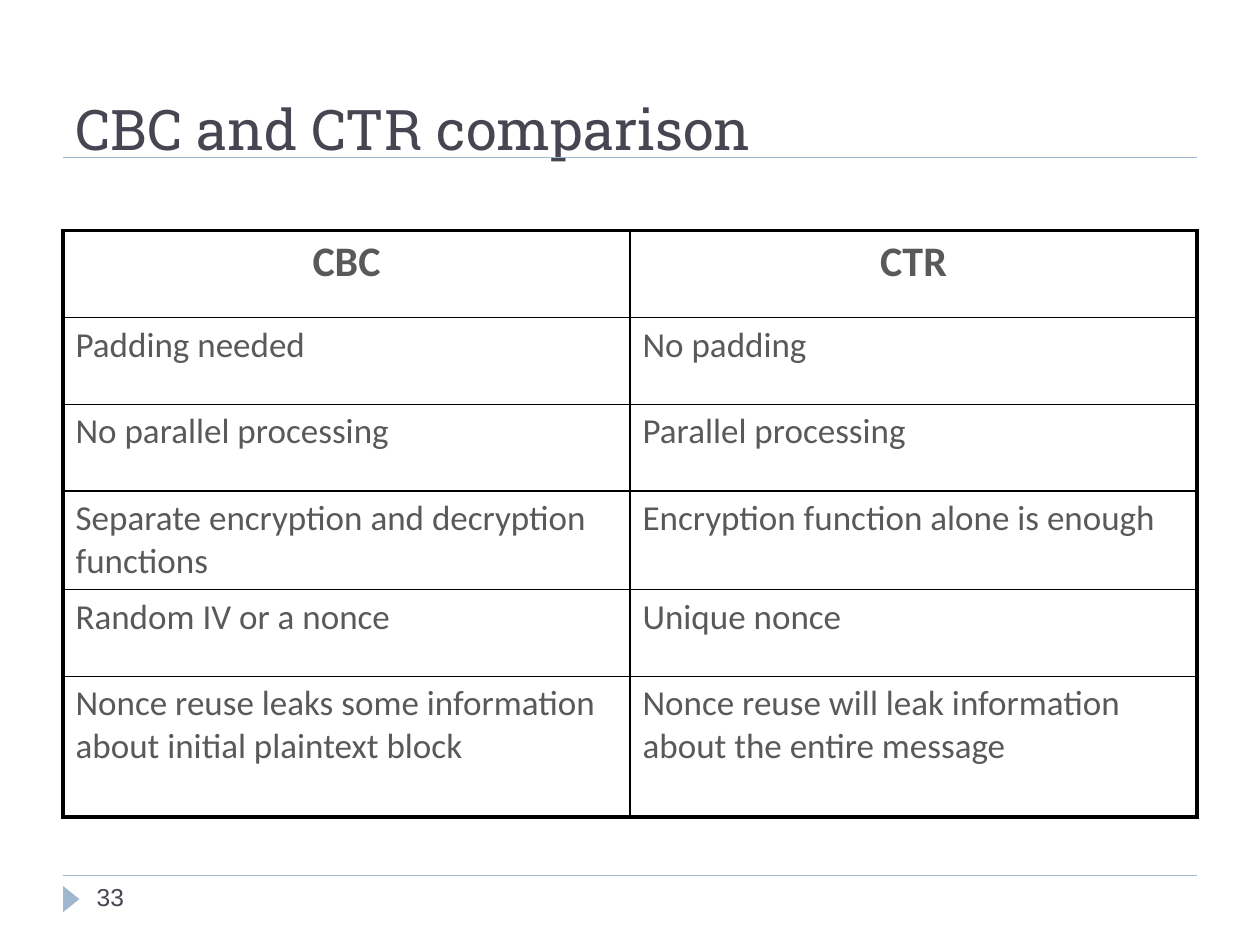
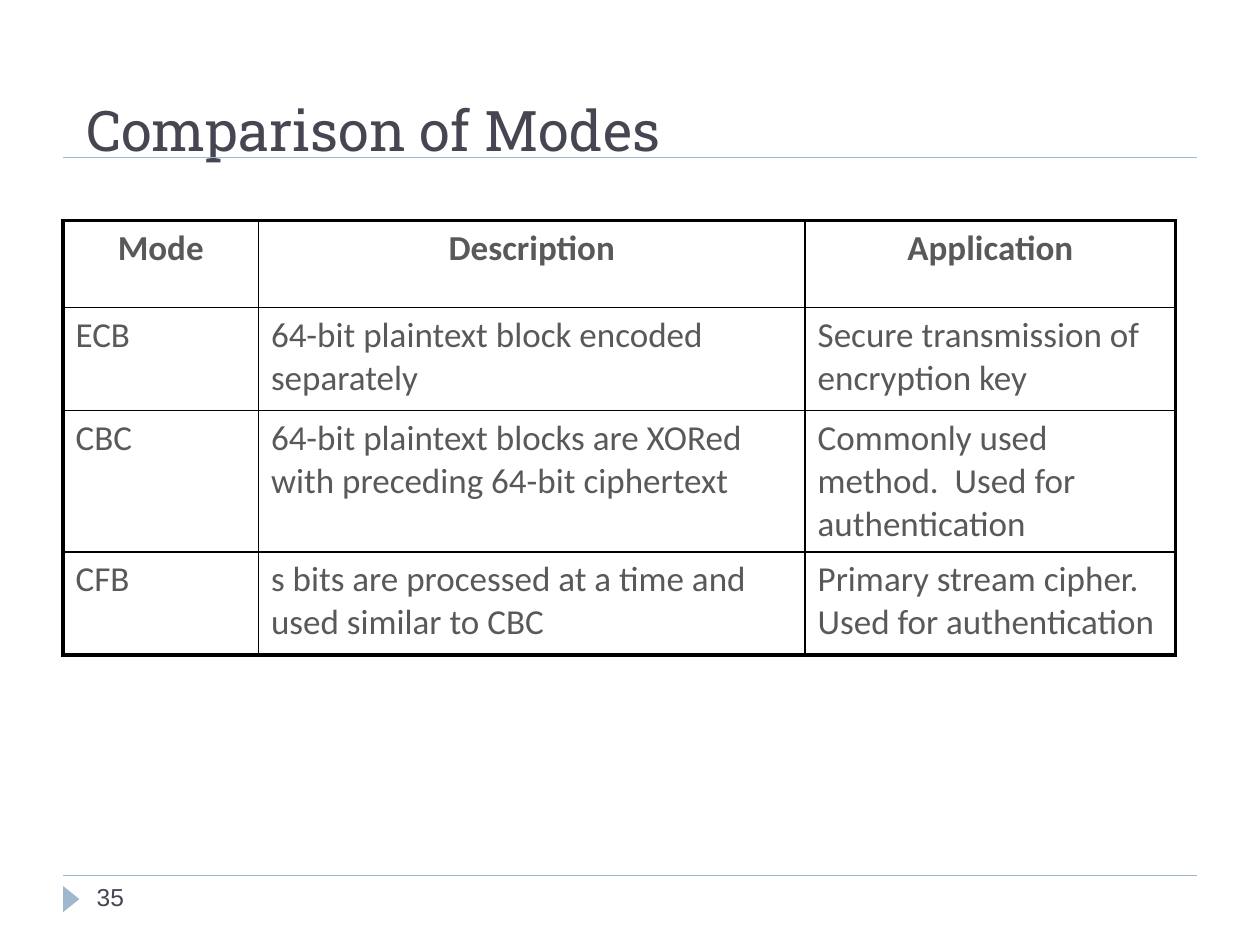
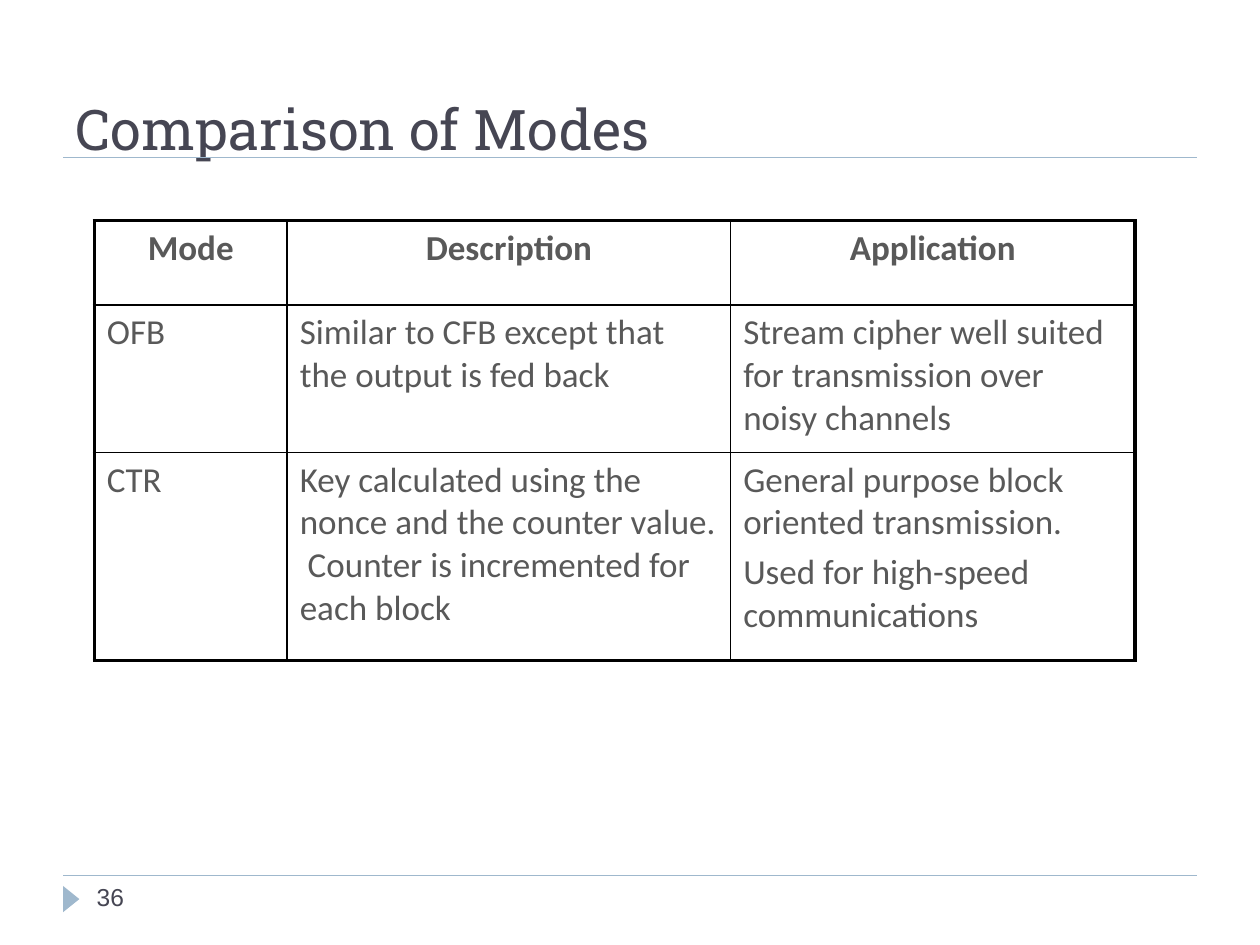
from pptx import Presentation
from pptx.dml.color import RGBColor
from pptx.enum.shapes import MSO_CONNECTOR, MSO_SHAPE
from pptx.enum.text import MSO_ANCHOR, MSO_AUTO_SIZE, PP_ALIGN
from pptx.oxml.ns import qn
from pptx.util import Cm, Pt
from lxml.etree import SubElement

COLORS = {"title": "464653", "body": "595959", "accent": "9FB8CD", "border": "000000"}
TITLE_ONLY = 5
MARGIN, CONTENT_WIDTH = 1.27, 22.86
TITLE_RULE_TOP, FOOTER_TOP = 3.18, 17.65
OUTER_BORDER, INNER_BORDER = 2.25, 1

MODE_HEADER = ["Mode", "Description", "Application"]
SLIDES = [
    {
        "title": "CBC and CTR comparison", "title_box": (MARGIN, 0.76, CONTENT_WIDTH, 2.62),
        "number": 33, "header_size": 24, "table_at": (MARGIN, 4.65),
        "widths": [11.43, 11.43], "heights": [1.75, 1.75, 1.75, 1.98, 1.75, 2.84],
        "rows": [
            ["CBC", "CTR"],
            ["Padding needed", "No padding"],
            ["No parallel processing", "Parallel processing"],
            ["Separate encryption and decryption functions",
             "Encryption function alone is enough"],
            ["Random IV or a nonce", "Unique nonce"],
            ["Nonce reuse leaks some information about initial plaintext block",
             "Nonce reuse will leak information about the entire message"],
        ],
    },
    {
        "title": "Comparison of Modes", "title_box": (1.48, 1.07, CONTENT_WIDTH, 2.34),
        "number": 35, "header_size": 20, "table_at": (MARGIN, 4.45),
        "widths": [3.94, 11.02, 7.47], "heights": [1.75, 2.08, 2.79, 2.08],
        "rows": [
            MODE_HEADER,
            ["ECB", "64-bit plaintext block encoded separately",
             "Secure transmission of encryption key"],
            ["CBC", "64-bit plaintext blocks are XORed with preceding 64-bit ciphertext",
             "Commonly used method.  Used for authentication"],
            ["CFB", "s bits are processed at a time and used similar to CBC",
             "Primary stream cipher. Used for authentication"],
        ],
    },
    {
        "title": "Comparison of Modes", "title_box": (MARGIN, 0.76, CONTENT_WIDTH, 2.62),
        "number": 36, "header_size": 20, "table_at": (1.9, 4.45),
        "widths": [3.89, 8.94, 8.15], "heights": [1.7, 2.97, 4.19],
        "rows": [
            MODE_HEADER,
            ["OFB", "Similar to CFB except that the output is fed back",
             "Stream cipher well suited for transmission over noisy channels"],
            ["CTR", "Key calculated using the nonce and the counter value.  "
                    "Counter is incremented for each block",
             "General purpose block oriented transmission.\nUsed for high-speed communications"],
        ],
    },
]


def rgb(name):
    return RGBColor.from_string(COLORS[name])


def set_font(paragraph, name, size, color, bold=False):
    font = paragraph.font
    font.name, font.size, font.bold = name, Pt(size), bold
    font.color.rgb = rgb(color)


def add_rule(slide, left, top, width):
    rule = slide.shapes.add_connector(
        MSO_CONNECTOR.STRAIGHT, Cm(left), Cm(top), Cm(left + width), Cm(top))
    rule.line.color.rgb = rgb("accent")
    rule.line.width = Pt(0.75)
    SubElement(rule.element.spPr, qn("a:effectLst"))


def add_title(slide, text, box):
    title = slide.shapes.title
    title.left, title.top, title.width, title.height = map(Cm, box)
    frame = title.text_frame
    frame.text = text
    frame.auto_size = MSO_AUTO_SIZE.NONE
    frame.vertical_anchor = MSO_ANCHOR.BOTTOM
    paragraph = frame.paragraphs[0]
    paragraph.alignment = PP_ALIGN.LEFT
    set_font(paragraph, "Roboto Slab", 32, "title")
    add_rule(slide, MARGIN, TITLE_RULE_TOP, CONTENT_WIDTH)


def add_footer(slide, number, left, top):
    add_rule(slide, left, top, CONTENT_WIDTH)
    marker = slide.shapes.add_shape(
        MSO_SHAPE.ISOSCELES_TRIANGLE, Cm(left - 0.1), Cm(top + 0.31), Cm(0.53), Cm(0.33))
    marker.rotation = 90
    marker.shadow.inherit = False
    marker.fill.solid()
    marker.fill.fore_color.rgb = rgb("accent")
    marker.line.fill.background()

    number_box = slide.shapes.add_textbox(Cm(left + 0.43), Cm(top), Cm(5.51), Cm(1.02))
    number_box.text_frame.word_wrap = True
    number_box.text_frame.text = str(number)
    set_font(number_box.text_frame.paragraphs[0], "Arial", 14, "title")


def set_borders(cell, outer_sides):
    """Draw the four edges, heavier where the cell meets the table's outline."""
    properties = cell._tc.get_or_add_tcPr()
    for side, is_outer in zip("LRTB", outer_sides):
        width = Pt(OUTER_BORDER if is_outer else INNER_BORDER)
        line = SubElement(properties, qn(f"a:ln{side}"), w=str(width))
        fill = SubElement(line, qn("a:solidFill"))
        SubElement(fill, qn("a:srgbClr"), val=COLORS["border"])


def fill_cell(cell, text, size, is_header):
    cell.fill.background()
    cell.text_frame.text = text
    for index, paragraph in enumerate(cell.text_frame.paragraphs):
        paragraph.alignment = PP_ALIGN.CENTER if is_header else PP_ALIGN.LEFT
        if index:
            paragraph.space_before = Pt(4)
        set_font(paragraph, "Calibri", size, "body", bold=is_header)


def add_comparison_table(slide, position, widths, heights, rows, header_size):
    box = (*position, sum(widths), sum(heights))
    table = slide.shapes.add_table(len(rows), len(widths), *map(Cm, box)).table
    table.first_row = table.horz_banding = False
    for column, width in zip(table.columns, widths):
        column.width = Cm(width)
    last_row, last_column = len(rows) - 1, len(widths) - 1
    for r, (texts, height) in enumerate(zip(rows, heights)):
        table.rows[r].height = Cm(height)
        for c, text in enumerate(texts):
            cell = table.cell(r, c)
            set_borders(cell, (c == 0, c == last_column, r == 0, r == last_row))
            fill_cell(cell, text, header_size if r == 0 else 20, is_header=r == 0)


def add_comparison_slide(presentation, content):
    slide = presentation.slides.add_slide(presentation.slide_layouts[TITLE_ONLY])
    add_title(slide, content["title"], content["title_box"])
    add_comparison_table(slide, content["table_at"], content["widths"], content["heights"],
                         content["rows"], content["header_size"])
    add_footer(slide, content["number"], MARGIN, FOOTER_TOP)


def main():
    presentation = Presentation()
    presentation.slide_width, presentation.slide_height = Cm(25.4), Cm(19.05)
    for content in SLIDES:
        add_comparison_slide(presentation, content)
    presentation.save("out.pptx")


if __name__ == "__main__":
    main()
